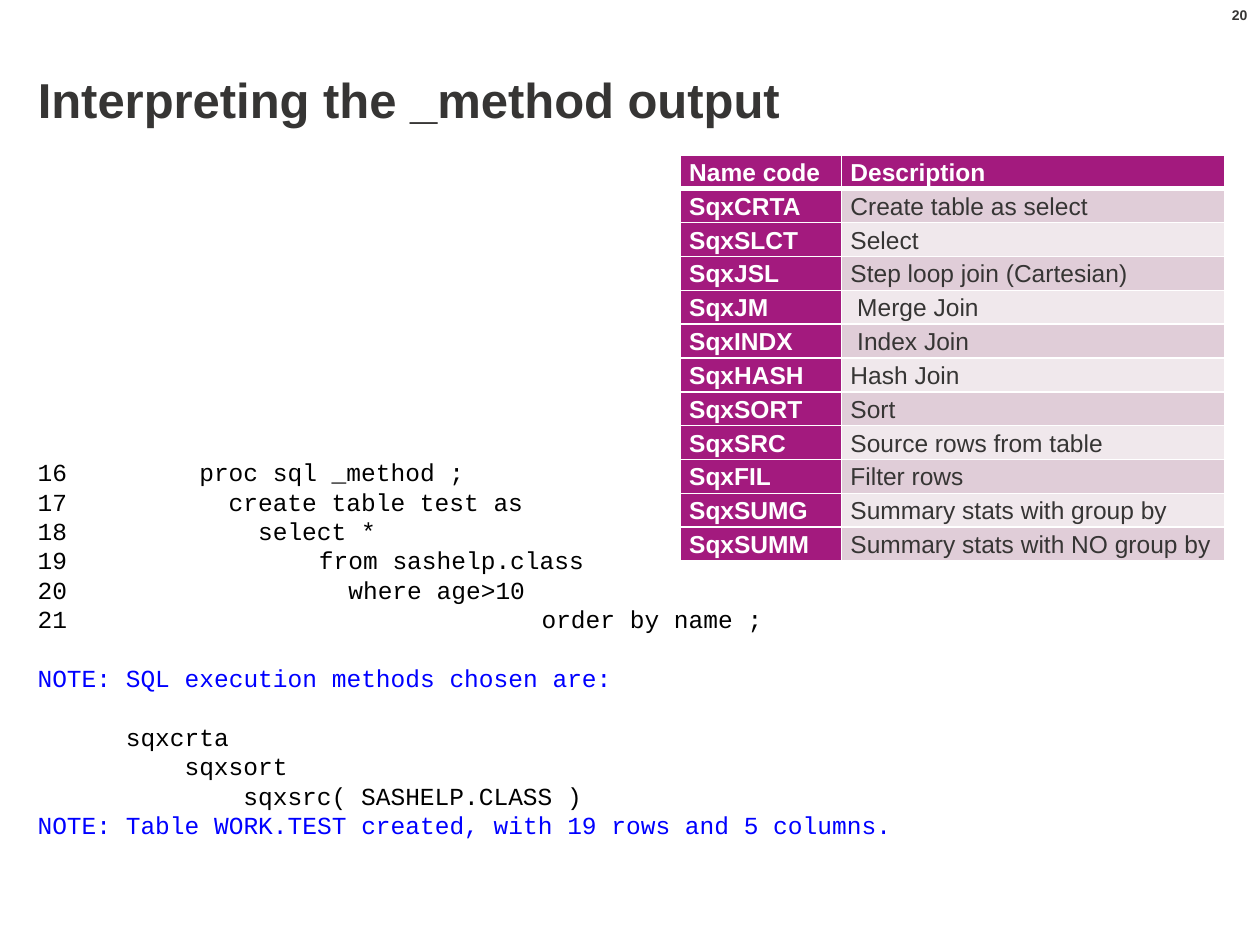
import pptx
import pptx.dml.color
import pptx.enum.text
import pptx.oxml.ns
import pptx.util
from lxml import etree

Inches, Pt = pptx.util.Inches, pptx.util.Pt
RGBColor = pptx.dml.color.RGBColor
Align, Anchor = pptx.enum.text.PP_ALIGN, pptx.enum.text.MSO_ANCHOR
qn = pptx.oxml.ns.qn

INK = RGBColor(0x36, 0x35, 0x34)
WHITE = RGBColor(0xFF, 0xFF, 0xFF)
BLACK = RGBColor(0, 0, 0)
NOTE_BLUE = RGBColor(0, 0, 0xFF)
PURPLE = RGBColor(0xA3, 0x1A, 0x7E)
BANDS = (RGBColor(0xF0, 0xE8, 0xEC), RGBColor(0xE0, 0xCD, 0xD8))

CHAR = 0.1167  # width of one 14 pt Courier New character, in inches
BLANK_LINE = 16.8  # height of one code line, in points

METHODS = [
    ("Name code", "Description"),
    ("SqxCRTA", "Create table as select"),
    ("SqxSLCT", "Select"),
    ("SqxJSL", "Step loop join (Cartesian)"),
    ("SqxJM", " Merge Join"),
    ("SqxINDX", " Index Join"),
    ("SqxHASH", "Hash Join"),
    ("SqxSORT", "Sort"),
    ("SqxSRC", "Source rows from table"),
    ("SqxFIL", "Filter rows"),
    ("SqxSUMG", "Summary stats with group by"),
    ("SqxSUMM", "Summary stats with NO group by"),
]

# Text and the place of its code, in inches from the line number
STATEMENTS = [
    ("16\tproc sql _method ;", 11 * CHAR),
    ("17\tcreate table test as", 13 * CHAR),
    ("18\tselect *", 15 * CHAR),
    ("19\tfrom sashelp.class", 2 + 2 * CHAR),
    ("20\twhere age>10", 2 + 4 * CHAR),
    ("21\torder by name ;", 4),
]

# Text, indent in characters, blank lines before, colour
LOG = [
    ("NOTE: SQL execution methods chosen are:", 0, 1, NOTE_BLUE),
    ("sqxcrta", 6, 1, BLACK),
    ("sqxsort", 10, 0, BLACK),
    ("sqxsrc( SASHELP.CLASS )", 14, 0, BLACK),
    ("NOTE: Table WORK.TEST created, with 19 rows and 5 columns.", 0, 0, NOTE_BLUE),
]


def write(paragraph, text, size=14, font="Arial", color=INK, bold=False,
          align=Align.LEFT, spacing=1.0, before=0, indent=0, tab=None):
    paragraph.alignment = align
    paragraph.line_spacing = spacing
    paragraph.space_before = Pt(before)
    properties = paragraph._p.get_or_add_pPr()
    if indent:
        properties.set("marL", str(Inches(indent)))
        properties.set("indent", "0")
    if tab:
        stops = etree.SubElement(properties, qn("a:tabLst"))
        etree.SubElement(stops, qn("a:tab"), pos=str(Inches(tab)), algn="l")
    run = paragraph.add_run()
    run.text = text
    run.font.size, run.font.name, run.font.bold = Pt(size), font, bold
    run.font.color.rgb = color


def border(cell, side, width):
    line = etree.SubElement(cell._tc.get_or_add_tcPr(), qn(f"a:ln{side}"), w=str(Pt(width)))
    fill = etree.SubElement(line, qn("a:solidFill"))
    etree.SubElement(fill, qn("a:srgbClr"), val=str(WHITE))


class SlideBuilder:
    def __init__(self, presentation):
        self.slide = presentation.slides.add_slide(presentation.slide_layouts[5])

    def title(self, text, left, top, width, height):
        heading = self.slide.shapes.title
        heading.left, heading.top = Inches(left), Inches(top)
        heading.width, heading.height = Inches(width), Inches(height)
        heading.text_frame.vertical_anchor = Anchor.MIDDLE
        write(heading.text_frame.paragraphs[0], text, size=28, bold=True, spacing=0.8)

    def text_box(self, lines, left, top, width, height, wrap=True):
        """Add a box of (text, format) lines."""
        box = self.slide.shapes.add_textbox(
            Inches(left), Inches(top), Inches(width), Inches(height))
        frame = box.text_frame
        frame.word_wrap = wrap
        for index, (text, style) in enumerate(lines):
            paragraph = frame.add_paragraph() if index else frame.paragraphs[0]
            write(paragraph, text, **style)

    def table(self, rows, left, top, widths, row_height):
        grid = self.slide.shapes.add_table(
            len(rows), len(widths), Inches(left), Inches(top),
            Inches(sum(widths)), Inches(row_height * len(rows))).table
        for column, width in zip(grid.columns, widths):
            column.width = Inches(width)
        for r, row in enumerate(rows):
            grid.rows[r].height = Inches(row_height)
            for c, text in enumerate(row):
                self.cell(grid.cell(r, c), text, r, strong=r == 0 or c == 0)

    def cell(self, cell, text, row, strong):
        cell.margin_left = cell.margin_right = Inches(0.07)
        cell.margin_top = cell.margin_bottom = 0
        for side in "LRTB":
            under_header = (row, side) in ((0, "B"), (1, "T"))
            border(cell, side, 3 if under_header else 1)
        cell.fill.solid()
        cell.fill.fore_color.rgb = PURPLE if strong else BANDS[row % 2]
        write(cell.text_frame.paragraphs[0], text, bold=strong,
              color=WHITE if strong else INK, spacing=1.15)


def main():
    presentation = pptx.Presentation()
    presentation.slide_width, presentation.slide_height = Inches(10), Inches(7.5)
    builder = SlideBuilder(presentation)

    builder.title("Interpreting the _method output", 0.2, 0.28, 9.61, 1.1)
    page_style = dict(size=8, bold=True, align=Align.RIGHT)
    builder.text_box([("20", page_style)], 9.5, 0, 0.5, 0.23, wrap=False)
    builder.table(METHODS, 5.4, 1.23, (1.28, 3.04), 0.25)

    code = dict(font="Courier New", color=BLACK)
    listing = [(text, dict(code, tab=tab)) for text, tab in STATEMENTS]
    listing += [
        (text, dict(code, color=color, indent=chars * CHAR, before=blanks * BLANK_LINE))
        for text, chars, blanks, color in LOG
    ]
    builder.text_box(listing, 0.2, 3.58, 7.56, 3.16)
    presentation.save("out.pptx")


if __name__ == "__main__":
    main()
